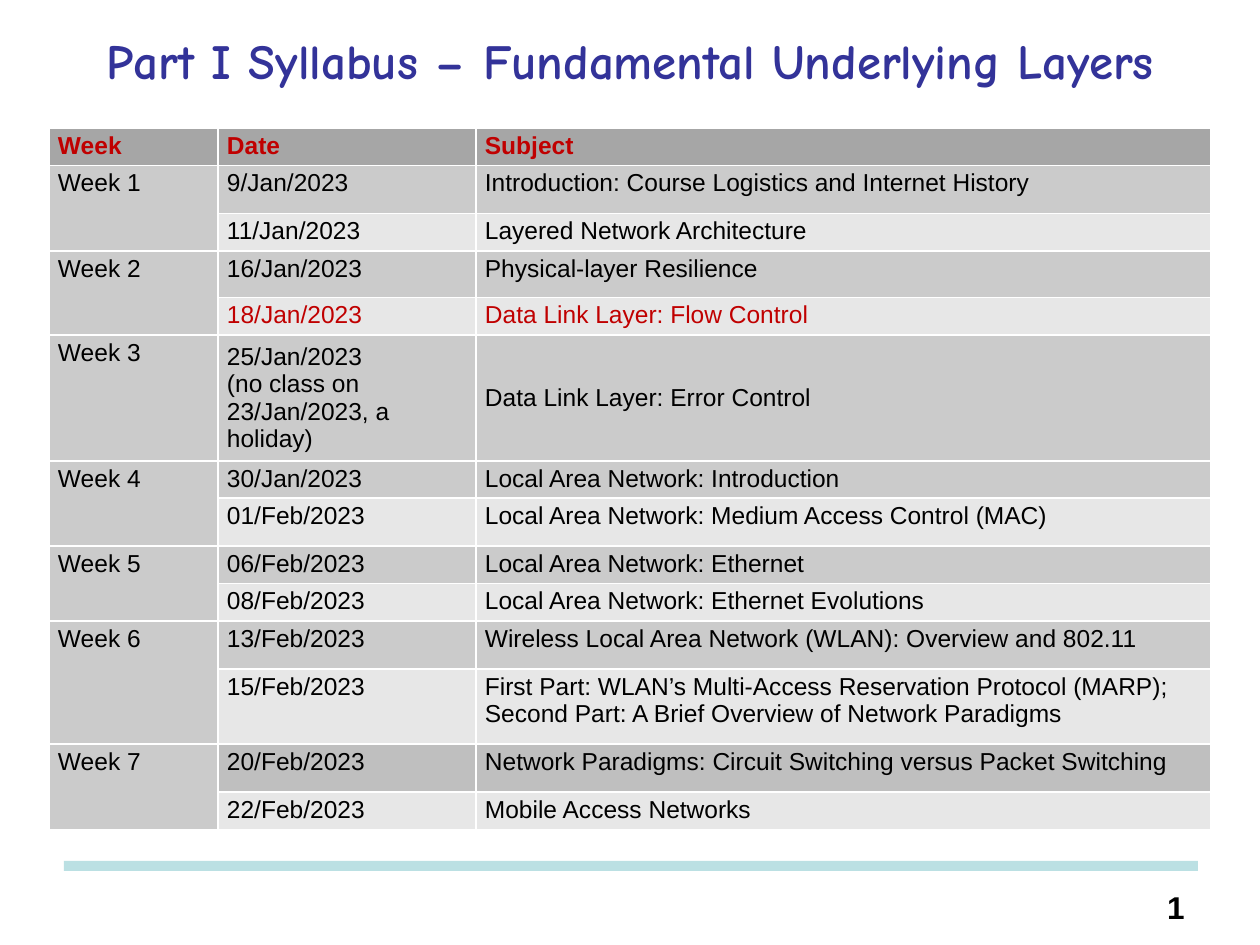
from pptx import Presentation
from pptx.dml.color import RGBColor as RGB
from pptx.enum.shapes import MSO_SHAPE as SHAPE
from pptx.enum.text import MSO_ANCHOR as ANCHOR, PP_ALIGN as ALIGN
from pptx.oxml import parse_xml
from pptx.oxml.ns import nsdecls
from pptx.util import Pt

PX = 914400 // 126
COLORS = {
    "title": "333399", "bar": "BBE0E3", "text": "000000", "accent": "C00000",
    "header": "A6A6A6", "first": "CBCBCB", "second": "E7E7E7",
    "final": "BFBFBF", "border": "FFFFFF",
}
BODY = {"name": "Arial", "size": Pt(14), "bold": False}
HEADER = {**BODY, "bold": True}
TITLE = {"name": "Comic Neue", "size": Pt(28), "bold": True}
NUMBER = {"name": "Arial", "size": Pt(18), "bold": True}

COLUMNS = [("Week", 169), ("Date", 258), ("Subject", 735)]
HEADER_HEIGHT = 28
WEEKS = [
    [("9/Jan/2023", "Introduction: Course Logistics and Internet History", 48),
     ("11/Jan/2023", "Layered Network Architecture", 32)],
    [("16/Jan/2023", "Physical-layer Resilience", 47),
     ("18/Jan/2023", "Data Link Layer: Flow Control", 28)],
    [("25/Jan/2023\v(no class on 23/Jan/2023, a holiday)",
      "Data Link Layer: Error Control", 91)],
    [("30/Jan/2023", "Local Area Network: Introduction", 28),
     ("01/Feb/2023", "Local Area Network: Medium Access Control (MAC)", 48)],
    [("06/Feb/2023", "Local Area Network: Ethernet", 33),
     ("08/Feb/2023", "Local Area Network: Ethernet Evolutions", 33)],
    [("13/Feb/2023", "Wireless Local Area Network (WLAN): Overview and 802.11", 48),
     ("15/Feb/2023",
      "First Part: WLAN’s Multi-Access Reservation Protocol (MARP);\n"
      "Second Part: A Brief Overview of Network Paradigms", 75)],
    [("20/Feb/2023",
      "Network Paradigms: Circuit Switching versus Packet Switching", 48),
     ("22/Feb/2023", "Mobile Access Networks", 28)],
]
HIGHLIGHT = "18/Jan/2023"


def rgb(name):
    return RGB.from_string(COLORS[name])


def px(*values):
    return [v * PX for v in values]


def write(tf, text, fmt, color, **paragraph):
    tf.text = text
    for p in tf.paragraphs:
        for key, value in paragraph.items():
            setattr(p, key, value)
        for r in p.runs:
            for key, value in fmt.items():
                setattr(r.font, key, value)
            r.font.color.rgb = rgb(color)


def add_text(slide, box, text, fmt, color, anchor=ANCHOR.TOP, **paragraph):
    tf = slide.shapes.add_textbox(*px(*box)).text_frame
    tf.word_wrap = True
    tf.vertical_anchor = anchor
    write(tf, text, fmt, color, **paragraph)


def add_bar(slide, box):
    sp = slide.shapes.add_shape(SHAPE.RECTANGLE, *px(*box))
    sp.shadow.inherit = False
    sp.fill.solid()
    sp.fill.fore_color.rgb = rgb("bar")
    sp.line.fill.background()


def style_cell(cell, fill):
    tcPr = cell._tc.get_or_add_tcPr()
    for side in "LRTB":
        tcPr.append(parse_xml(
            f'<a:ln{side} {nsdecls("a")} w="12700"><a:solidFill>'
            f'<a:srgbClr val="{COLORS["border"]}"/></a:solidFill></a:ln{side}>'))
    cell.fill.solid()
    cell.fill.fore_color.rgb = rgb(fill)
    cell.margin_left = cell.margin_right = 9 * PX
    cell.margin_top = cell.margin_bottom = 4 * PX
    cell.text_frame.paragraphs[0].font.size = BODY["size"]


def fill_cell(cell, text, fill, fmt=BODY, color="text", anchor=ANCHOR.TOP):
    style_cell(cell, fill)
    cell.vertical_anchor = anchor
    write(cell.text_frame, text, fmt, color)


def add_syllabus(slide):
    heights = [HEADER_HEIGHT] + [h for week in WEEKS for *_, h in week]
    width = sum(w for _, w in COLUMNS)
    table = slide.shapes.add_table(
        len(heights), len(COLUMNS), *px(49, 128, width, sum(heights))).table
    table.horz_banding = False
    for row, height in zip(table.rows, heights):
        row.height = height * PX
    for c, (label, w) in enumerate(COLUMNS):
        table.columns[c].width = w * PX
        fill_cell(table.cell(0, c), label, "header", HEADER, "accent")

    top = 1
    for number, week in enumerate(WEEKS, 1):
        last = top + len(week) - 1
        for r in range(top, last + 1):
            style_cell(table.cell(r, 0), "first")
        if last > top:
            table.cell(top, 0).merge(table.cell(last, 0))
        write(table.cell(top, 0).text_frame, f"Week {number}", BODY, "text")
        first = "final" if number == len(WEEKS) else "first"
        anchor = ANCHOR.MIDDLE if len(week) == 1 else ANCHOR.TOP
        for r, (date, subject, _), fill in zip(
                range(top, last + 1), week, (first, "second")):
            color = "accent" if date == HIGHLIGHT else "text"
            for c, text in enumerate((date, subject), 1):
                fill_cell(table.cell(r, c), text, fill, BODY, color, anchor)
        top = last + 1


def main():
    prs = Presentation()
    prs.slide_width, prs.slide_height = px(1260, 945)
    slide = prs.slides.add_slide(prs.slide_layouts[6])
    add_bar(slide, (64, 861, 1134, 10))
    add_text(slide, (14, 29, 1232, 73),
             "Part I Syllabus – Fundamental Underlying Layers", TITLE, "title",
             ANCHOR.MIDDLE, alignment=ALIGN.CENTER, line_spacing=0.8)
    add_text(slide, (1113, 882, 84, 53), "1", NUMBER, "text",
             alignment=ALIGN.RIGHT)
    add_syllabus(slide)
    prs.save("out.pptx")


if __name__ == "__main__":
    main()
